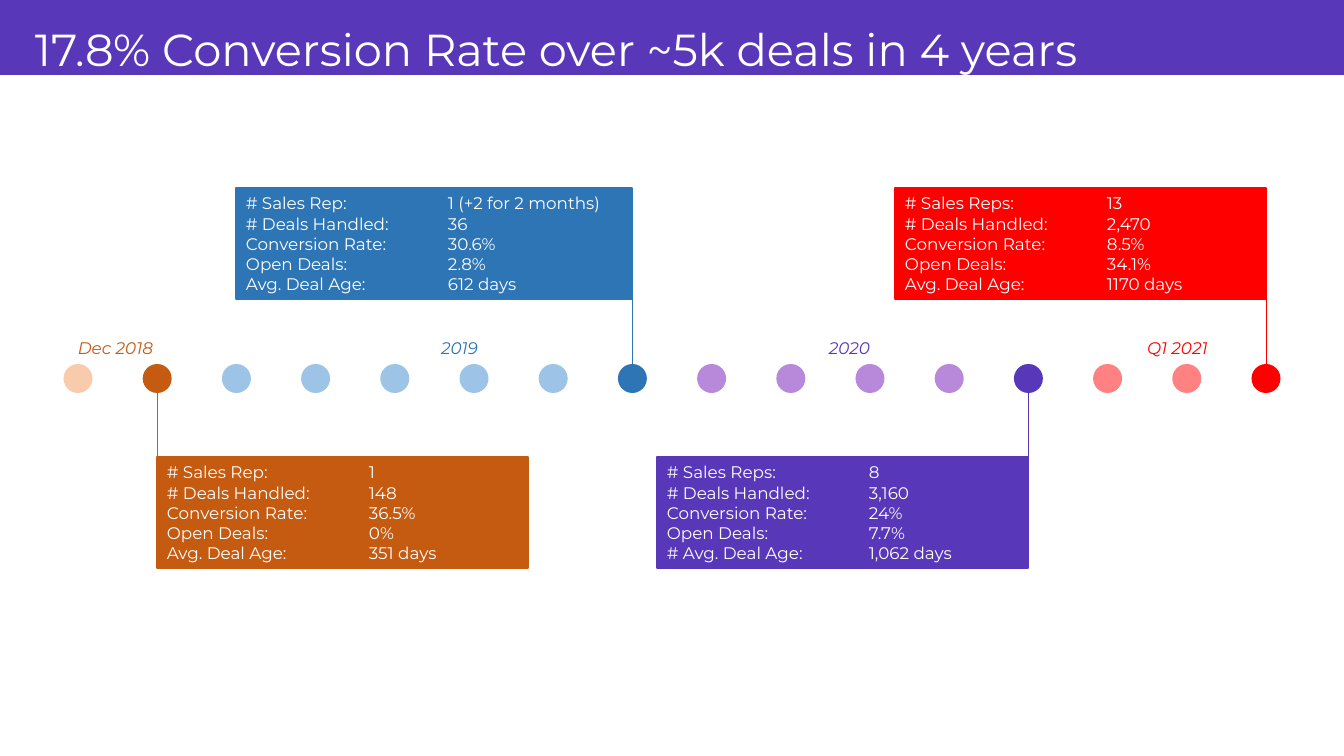
from dataclasses import dataclass

from lxml import etree
from pptx import Presentation
from pptx.dml.color import RGBColor
from pptx.enum.shapes import MSO_CONNECTOR, MSO_SHAPE
from pptx.enum.text import MSO_ANCHOR, PP_ALIGN
from pptx.oxml.ns import qn
from pptx.util import Pt

RECTANGLE = MSO_SHAPE.RECTANGLE
OVAL = MSO_SHAPE.OVAL
STRAIGHT = MSO_CONNECTOR.STRAIGHT
MIDDLE = MSO_ANCHOR.MIDDLE
LEFT, CENTER = PP_ALIGN.LEFT, PP_ALIGN.CENTER
EMU_PER_PX = 914400 / 100.8


def px(length):
    return round(length * EMU_PER_PX)


@dataclass(frozen=True)
class Theme:
    font: str = "Montserrat"
    title_size: int = 32
    body_size: int = 12
    white: str = "FFFFFF"
    orange: str = "C55A11"
    light_orange: str = "F8CBAD"
    blue: str = "2E75B6"
    light_blue: str = "9DC3E6"
    purple: str = "5937B9"
    light_purple: str = "B889DB"
    red: str = "FF0000"
    light_red: str = "FF8181"


THEME = Theme()


@dataclass(frozen=True)
class Era:
    label: str
    label_left: int
    label_width: int
    color: str
    light: str
    light_dots: int
    box_left: int
    box_width: int
    above: bool
    facts: tuple


ERAS = [
    Era("Dec 2018", 65, 101, THEME.orange, THEME.light_orange, 1, 157, 371, False, (
        ("# Sales Rep:", "1"), ("# Deals Handled:", "148"),
        ("Conversion Rate:", "36.5%"), ("Open Deals:", "0%"),
        ("Avg. Deal Age:", "351 days"))),
    Era("2019", 386, 147, THEME.blue, THEME.light_blue, 5, 236, 396, True, (
        ("# Sales Rep:", "1 (+2 for 2 months)"), ("# Deals Handled:", "36"),
        ("Conversion Rate:", "30.6%"), ("Open Deals:", "2.8%"),
        ("Avg. Deal Age:", "612 days"))),
    Era("2020", 776, 147, THEME.purple, THEME.light_purple, 4, 657, 371, False, (
        ("# Sales Reps:", "8"), ("# Deals Handled:", "3,160"),
        ("Conversion Rate:", "24%"), ("Open Deals:", "7.7%"),
        ("# Avg. Deal Age:", "1,062 days"))),
    Era("Q1 2021", 1104, 147, THEME.red, THEME.light_red, 2, 895, 371, True, (
        ("# Sales Reps:", "13"), ("# Deals Handled:", "2,470"),
        ("Conversion Rate:", "8.5%"), ("Open Deals:", "34.1%"),
        ("Avg. Deal Age:", "1170 days"))),
]

# Timeline geometry in px
FIRST_DOT, LAST_DOT, DOT_COUNT = 78, 1266, 16
DOT_STEP = (LAST_DOT - FIRST_DOT) / (DOT_COUNT - 1)
DOT_SIZE, DOT_TOP = 29, 364
DOT_BOTTOM = DOT_TOP + DOT_SIZE
STEM = 120
BOX_ABOVE, BOX_BELOW, BOX_HEIGHT = 188, 457, 111
VALUE_TAB = 202


class TimelinePage:
    def __init__(self, theme, page):
        self.theme = theme
        self.page = page

    def shape(self, kind, left, top, width, height, fill, outlined=False):
        shape = self.page.shapes.add_shape(kind, px(left), px(top), px(width), px(height))
        shape.shadow.inherit = False
        shape.fill.solid()
        shape.fill.fore_color.rgb = RGBColor.from_string(fill)
        if outlined:
            shape.line.color.rgb = RGBColor.from_string(fill)
            shape.line.width = Pt(1)
        else:
            shape.line.fill.background()
        return shape

    def line(self, x, start, end, color):
        line = self.page.shapes.add_connector(STRAIGHT, px(x), px(start), px(x), px(end))
        line.line.color.rgb = RGBColor.from_string(color)
        line.line.width = Pt(0.5)
        etree.SubElement(line._element.spPr, qn("a:effectLst"))

    def fill_text(self, box, text, size, color, align=LEFT, italic=False):
        frame = box.text_frame
        frame.word_wrap = True
        frame.vertical_anchor = MIDDLE
        frame.text = text
        for para in frame.paragraphs:
            para.alignment = align
            for span in para.runs:
                span.font.name = self.theme.font
                span.font.size = Pt(size)
                span.font.italic = italic
                span.font.color.rgb = RGBColor.from_string(color)
        return frame

    def text(self, left, top, width, height, *style, **options):
        box = self.page.shapes.add_textbox(px(left), px(top), px(width), px(height))
        return self.fill_text(box, *style, **options)

    def fact_box(self, era):
        top = BOX_ABOVE if era.above else BOX_BELOW
        box = self.shape(RECTANGLE, era.box_left, top, era.box_width, BOX_HEIGHT,
                         era.color, outlined=True)
        text = "\n".join(f"{name}\t{value}" for name, value in era.facts)
        frame = self.fill_text(box, text, self.theme.body_size, self.theme.white)
        for para in frame.paragraphs:
            tabs = etree.SubElement(para._p.get_or_add_pPr(), qn("a:tabLst"))
            etree.SubElement(tabs, qn("a:tab"), pos=str(px(VALUE_TAB)), algn="l")


def main():
    deck = Presentation()
    deck.slide_width, deck.slide_height = px(1344), px(756)
    page = TimelinePage(THEME, deck.slides.add_slide(deck.slide_layouts[6]))

    # Title bar
    page.shape(RECTANGLE, 0, 0, 1344, 75, THEME.purple)
    title = page.text(25, 15, 1159, 75, "17.8% Conversion Rate over ~5k deals in 4 years",
                      THEME.title_size, THEME.white)
    title.paragraphs[0].line_spacing = 0.9

    # Timeline dots, with a stem at the last dot of each era
    center = FIRST_DOT
    for era in ERAS:
        for color in [era.light] * era.light_dots + [era.color]:
            page.shape(OVAL, center - DOT_SIZE / 2, DOT_TOP, DOT_SIZE, DOT_SIZE, color)
            center += DOT_STEP
        start, end = (DOT_TOP - STEM, DOT_TOP) if era.above else (DOT_BOTTOM, DOT_BOTTOM + STEM)
        page.line(center - DOT_STEP, start, end, era.color)

    # Era labels and fact boxes
    for era in ERAS:
        page.text(era.label_left, 333, era.label_width, 30, era.label,
                  THEME.body_size, era.color, align=CENTER, italic=True)
        page.fact_box(era)

    deck.save("out.pptx")


if __name__ == "__main__":
    main()
